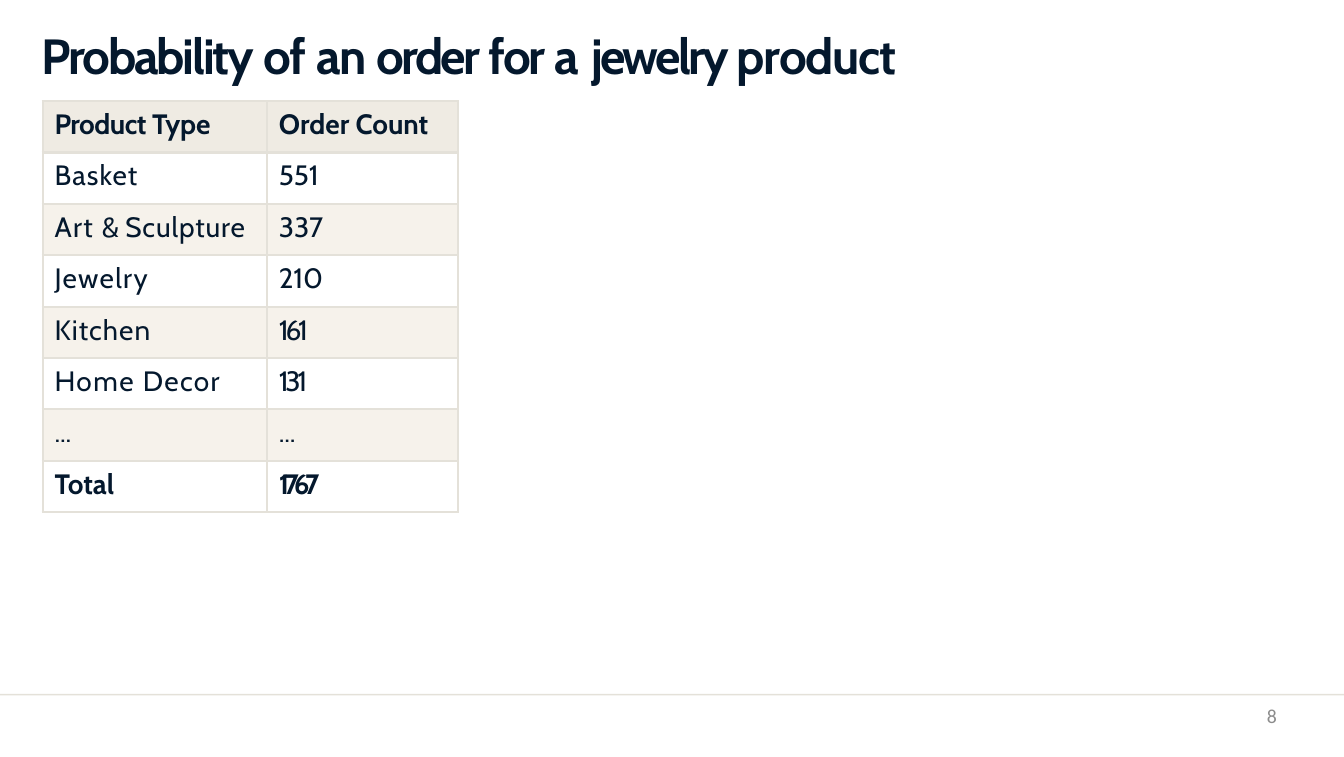
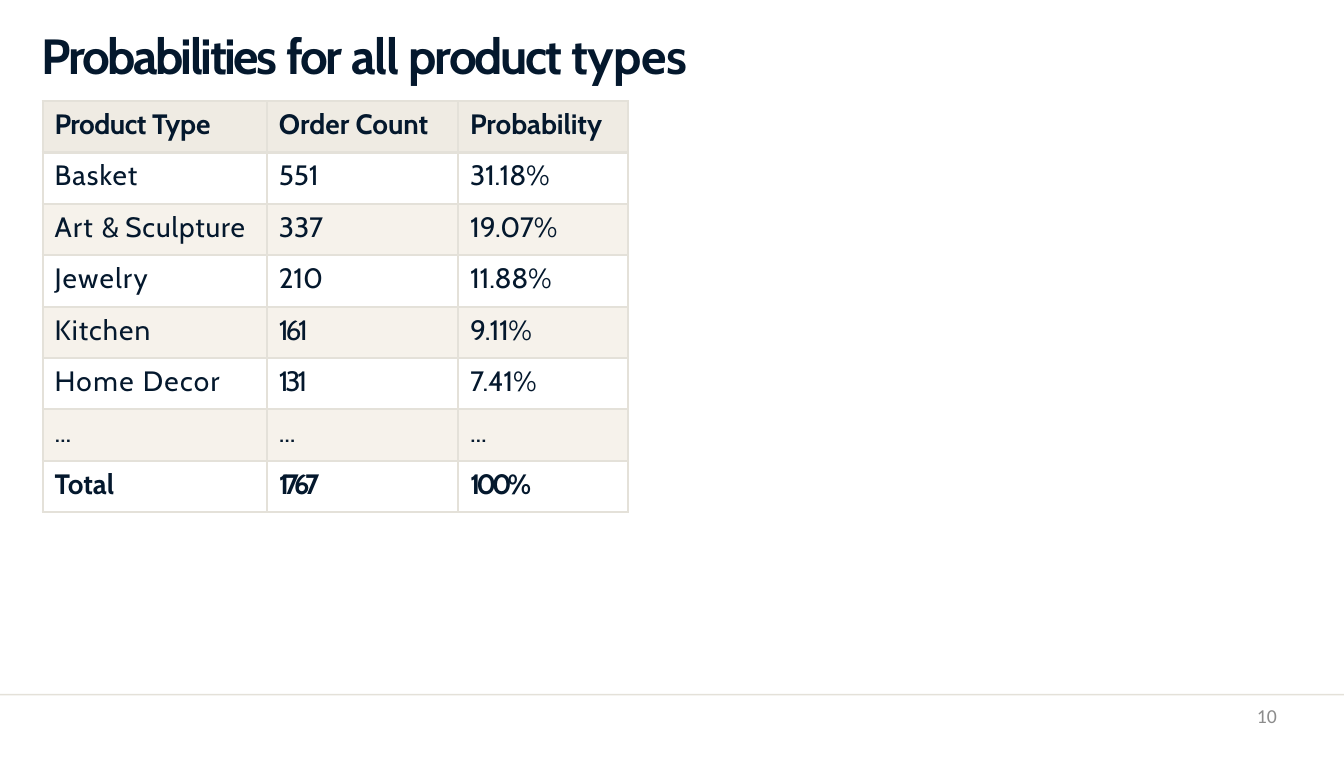
from lxml.etree import SubElement
from pptx import Presentation
from pptx.dml.color import RGBColor
from pptx.enum.shapes import MSO_SHAPE
from pptx.enum.text import PP_ALIGN
from pptx.oxml.ns import qn
from pptx.util import Inches, Pt

COLORS = {
    "ink": "04182D",
    "rule": "E4E1D9",
    "header": "EFEBE3",
    "band": "F6F2EB",
    "plain": "FFFFFF",
    "number": "8C8C8C",
}
WIDTH, HEIGHT = 17.01, 9.58
COLUMN_WIDTHS = (2.84, 2.42, 2.15)
ROW_HEIGHT = 0.65
ORDERS = [
    [("Product Type", -0.5, -0.2), ("Order Count", 0, -0.1), ("Probability", -0.1)],
    [("Basket", 1), ("551", -0.2), ("31.18%", -0.3)],
    [("Art & Sculpture", 1.2, 0, 0.8), ("337", -0.2), ("19.07%", -0.1)],
    [("Jewelry", 1.2), ("210", -0.2), ("11.88%", -0.3)],
    [("Kitchen", 1), ("161", -2.9), ("9.11%", -0.5)],
    [("Home Decor", 1.3, 1.2), ("131", -3.1), ("7.41%", -0.3)],
    [("...", -0.2), ("...", -0.2), ("...", -0.2)],
    [("Total", -0.1), ("1767", -4.1), ("100%", -3.8)],
]


class Deck:
    """Holds the style and current slide; a text is followed by its words' letter spacing."""

    def __init__(self):
        self.prs = Presentation()
        self.prs.slide_width = Inches(WIDTH)
        self.prs.slide_height = Inches(HEIGHT)
        self.s = None

    def color(self, name):
        return RGBColor.from_string(COLORS[name])

    def add_slide(self, title, number):
        self.s = self.prs.slides.add_slide(self.prs.slide_layouts[6])
        self.rule()
        self.title(title)
        self.page_number(number)

    def rule(self):
        sp = self.s.shapes.add_shape(
            MSO_SHAPE.RECTANGLE, 0, Inches(8.78), Inches(WIDTH), Inches(0.02))
        sp.shadow.inherit = False
        sp.fill.solid()
        sp.fill.fore_color.rgb = self.color("rule")
        sp.line.fill.background()

    def set_text(self, p, text, size, color="ink", font="Cabin", bold=False):
        words, spacings = text[0].split(" "), text[1:]
        for i, (word, spacing) in enumerate(zip(words, spacings), 1):
            r = p.add_run()
            r.text = word + (" " if i < len(words) else "")
            r._r.get_or_add_rPr().set("spc", str(round(spacing * 100)))
        p.font.size = Pt(size)
        p.font.name = font
        p.font.bold = bold
        p.font.color.rgb = self.color(color)

    def text_box(self, left, top, width, height, inset=0):
        sp = self.s.shapes.add_textbox(
            Inches(left), Inches(top), Inches(width), Inches(height))
        tf = sp.text_frame
        tf.word_wrap = True
        tf.margin_left = tf.margin_right = tf.margin_bottom = 0
        tf.margin_top = Inches(inset)
        return tf.paragraphs[0]

    def title(self, text):
        p = self.text_box(0.53, 0.3, 13.63, 0.78, 0.02)
        self.set_text(p, text, 45, bold=True)

    def page_number(self, number):
        p = self.text_box(12.25, 8.91, 3.91, 0.48)
        p.alignment = PP_ALIGN.RIGHT
        self.set_text(p, (str(number), 0), 18, "number", "Calibri")

    def border(self, cell):
        tcPr = cell._tc.get_or_add_tcPr()
        for side in ("a:lnL", "a:lnR", "a:lnT", "a:lnB"):
            ln = SubElement(tcPr, qn(side), w=str(int(Pt(2.25))))
            fill = SubElement(ln, qn("a:solidFill"))
            SubElement(fill, qn("a:srgbClr"), val=COLORS["rule"])

    def table(self, rows, column_count):
        widths = COLUMN_WIDTHS[:column_count]
        last = len(rows) - 1
        table = self.s.shapes.add_table(
            len(rows), column_count, Inches(0.54), Inches(1.28),
            Inches(sum(widths)), Inches(ROW_HEIGHT * len(rows))).table
        table.first_row = table.horz_banding = False
        for column, width in zip(table.columns, widths):
            column.width = Inches(width)
        for i, row in enumerate(rows):
            table.rows[i].height = Inches(ROW_HEIGHT)
            fill = "header" if i == 0 else "plain" if i % 2 else "band"
            for j, text in enumerate(row[:column_count]):
                cell = table.cell(i, j)
                cell.margin_left, cell.margin_top = Inches(0.15), Inches(0.08)
                cell.margin_right = cell.margin_bottom = 0
                self.border(cell)
                cell.fill.solid()
                cell.fill.fore_color.rgb = self.color(fill)
                p = cell.text_frame.paragraphs[0]
                self.set_text(p, text, 25.5, bold=i in (0, last))


def main():
    deck = Deck()
    deck.add_slide(("Probability of an order for a jewelry product",
                    -2, -0.9, -1.4, -2.4, -2.1, 0.5, -2.6, -1.1), 8)
    deck.table(ORDERS, 2)
    deck.add_slide(("Probabilities for all product types",
                    -2.3, -2.1, -1.4, -2, -0.5), 10)
    deck.table(ORDERS, 3)
    deck.prs.save("out.pptx")


if __name__ == "__main__":
    main()
